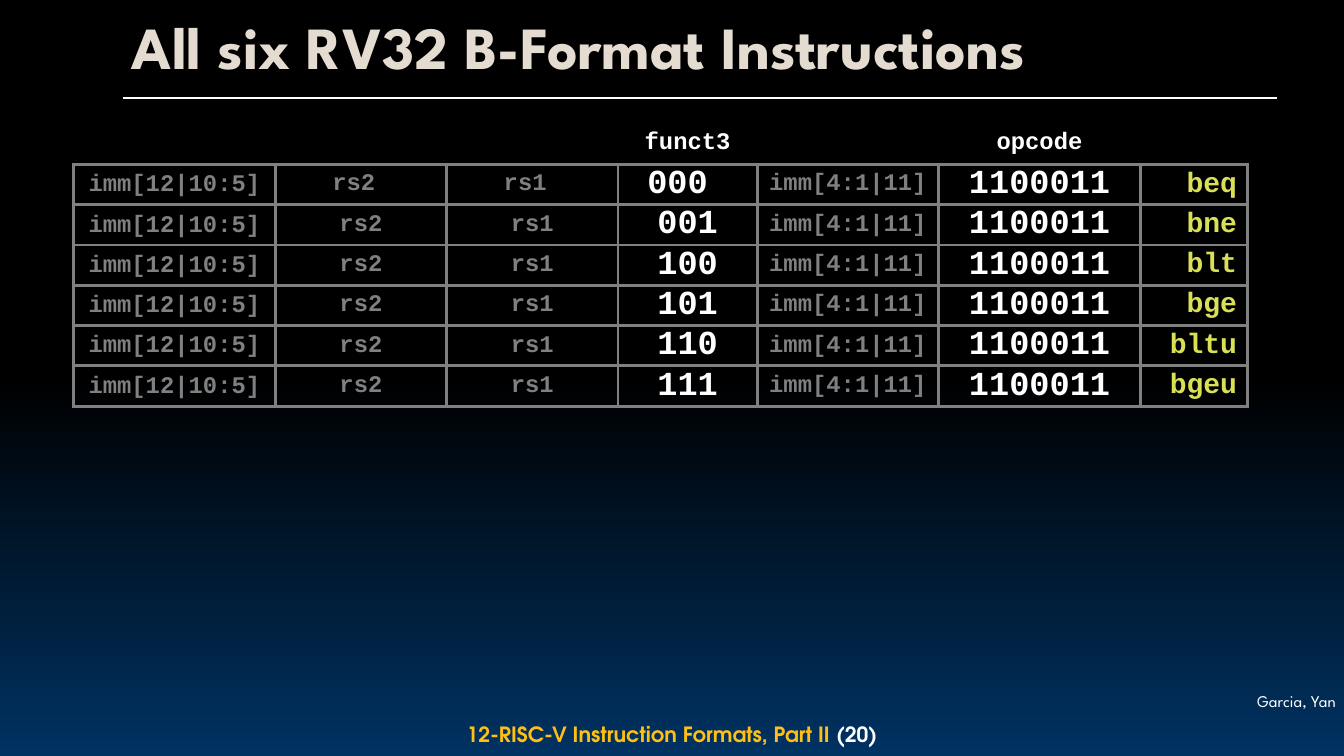
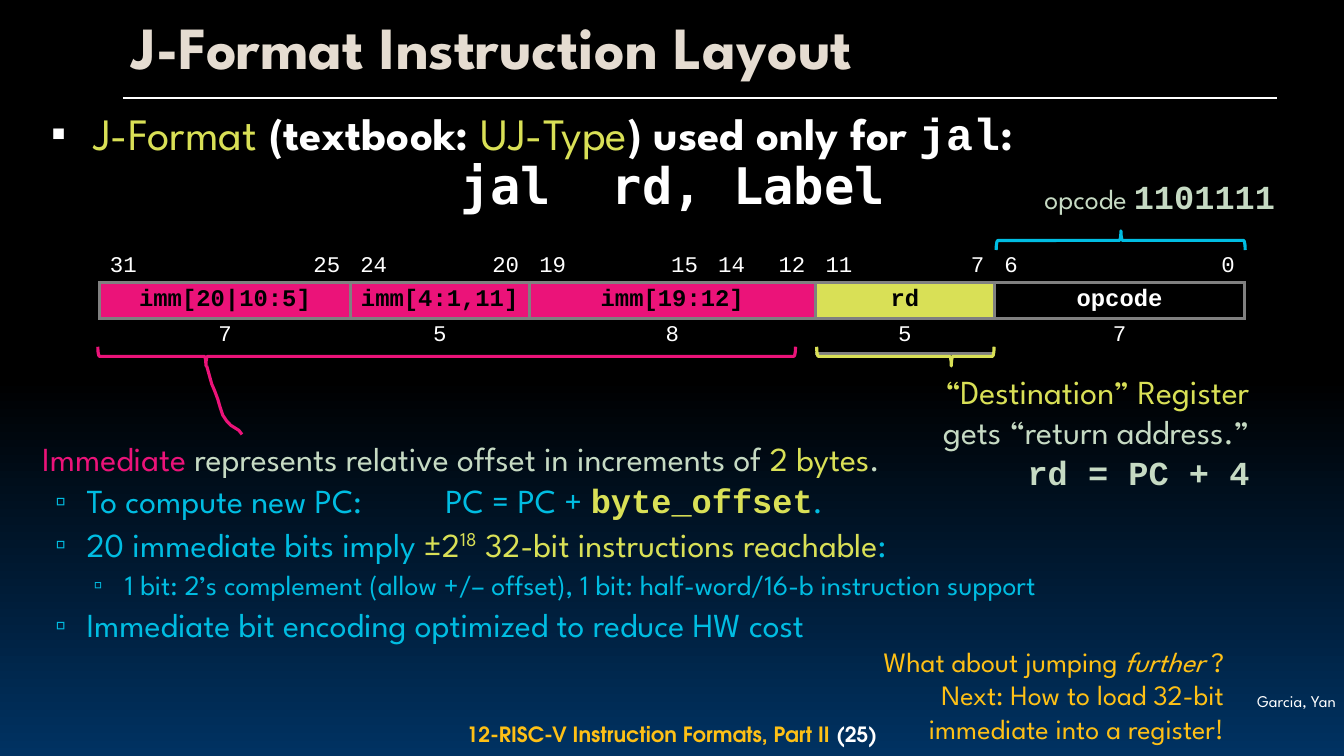
"""Builds two lecture slides on the B and J instruction formats."""
from pptx import Presentation
from pptx.dml.color import RGBColor
from pptx.enum.shapes import MSO_CONNECTOR, MSO_SHAPE
from pptx.enum.text import MSO_ANCHOR as ANCHOR, PP_ALIGN as ALIGN
from pptx.oxml.ns import qn
from pptx.util import Inches, Pt
from lxml.etree import SubElement


class Theme:
    black, navy, white = "000000", "003262", "FFFFFF"
    cream, gold, gray = "E5DCD1", "FEC016", "808080"
    lime, sage, pink, cyan = "D9E056", "C6DAC3", "EB1379", "00BDE2"
    sans, mono = "League Spartan", "Courier New"
    code, footer, bullet = "DejaVu Sans Mono", "TeX Gyre Adventor", "Arial"
    title, display, lead, body, small = 42.7, 36, 32, 24, 20
    field, bits, foot, author = 17, 16, 15, 11.7
    rule, outline = 1.5, 2.25
    no_table_style = "{2D5ABB26-0587-4C30-8999-92F81FD0307C}"


T = Theme
MONO = dict(font=T.mono, bold=True)

BRANCH_COLUMNS = [2, 1.7, 1.7, 1.38, 1.8, 2, 1.06]
BRANCH_HEADER = ["", "", "", "funct3", "", "opcode", ""]
BRANCHES = [("rs2 ", "rs1 ", "000 ", "beq")] + [
    ("rs2", "rs1", funct3, name) for funct3, name in [
        ("001", "bne"), ("100", "blt"), ("101", "bge"), ("110", "bltu"), ("111", "bgeu")]]
BRANCH_STYLES = [
    dict(color=T.gray, size=T.field, spacing=0.9),
    dict(color=T.gray, size=T.field),
    dict(color=T.gray, size=T.field),
    dict(color=T.white, size=T.body),
    dict(color=T.gray, size=T.field),
    dict(color=T.white, size=T.body),
    dict(color=T.lime, size=T.small, align=ALIGN.RIGHT),
]

BIT_WIDTH = 0.355
JUMP_ROWS = [0.36, 0.36, 0.35]
JUMP_FIELDS = [
    ("imm[20|10:5]", 7, T.pink, T.black, [("31", 2), ("", 1), ("", 1), ("", 1), ("25", 2)]),
    ("imm[4:1,11]", 5, T.pink, T.black, [("24", 2), ("", 1), ("20", 2)]),
    ("imm[19:12]", 8, T.pink, T.black,
     [("19", 2), ("", 1), ("15", 2), ("14", 1.5), ("12", 1.5)]),
    ("rd", 5, T.lime, T.black, [("11", 2), ("", 1), ("7", 2)]),
    ("opcode", 7, None, T.white, [("6", 2), ("", 1), ("", 1), ("", 1), ("0", 2)]),
]

BRACES = [
    (9.88, 2.29, 2.47, 90, 0.499, T.cyan),
    (8.1, 3.44, 1.76, 270, 0.759, T.lime),
    (0.97, 3.44, 6.92, 270, 0.155, T.pink),
]
IMMEDIATE_TAIL = [(2.05, 3.63), (2.1, 3.81), (2.13, 3.88), (2.16, 3.96), (2.18, 4.03),
                  (2.21, 4.12), (2.25, 4.18), (2.29, 4.22), (2.37, 4.27), (2.4, 4.31)]

LIME, SAGE, WHITE = dict(color=T.lime), dict(color=T.sage), dict(color=T.white, bold=True)
USAGE = [("J-Format", LIME), (" (textbook: ", WHITE), ("UJ-Type", LIME),
         (") used only for ", WHITE), ("jal", dict(WHITE, font=T.mono)), (":", WHITE)]
OPCODE = [("opcode ", {}), ("1101111", dict(MONO, size=T.body))]
DESTINATION = [("“Destination” Register\n", LIME), ("gets “return address.”\n", {}),
               ("rd = PC + 4", MONO)]
NEXT_TOPIC = [("What about jumping ", {}), ("further ", dict(italic=True)),
              ("?\nNext: How to load 32-bit immediate into a register!", {})]
IMMEDIATE = [
    (0, [("Immediate ", dict(color=T.pink)),
         ("represents relative offset in increments of ", SAGE),
         ("2 bytes", LIME), (".", SAGE)]),
    (1, [("To compute new PC:\tPC = PC + ", {}), ("byte_offset", dict(MONO, color=T.lime)),
         (".", {})]),
    (1, [("20 immediate bits imply ", {}), ("±2", LIME), ("18", dict(LIME, raised=True)),
         (" 32-bit instructions reachable", LIME), (":", {})]),
    (2, [("1 bit: 2’s complement (allow +/– offset), 1 bit: half-word/16-b instruction support",
          dict(size=T.small))]),
    (1, [("Immediate bit encoding optimized to reduce HW cost", {})]),
]
LEVEL_FORMATS = [
    {},
    dict(bullet=("▫", 0.44, -0.31, 90, None), tab=4, spacing=0.9, before=5),
    dict(bullet=("▫", 0.82, -0.31, 90, None), spacing=0.9, before=5),
]


def rgb(color):
    return RGBColor.from_string(color)


def add_bullet(p, char, margin, indent, percent, color):
    pPr = p._p.get_or_add_pPr()
    pPr.set("marL", str(Inches(margin)))
    pPr.set("indent", str(Inches(indent)))
    if color:
        SubElement(SubElement(pPr, qn("a:buClr")), qn("a:srgbClr")).set("val", color)
    SubElement(pPr, qn("a:buSzPct")).set("val", str(percent * 1000))
    SubElement(pPr, qn("a:buFont")).set("typeface", T.bullet)
    SubElement(pPr, qn("a:buChar")).set("char", char)


def add_tab(p, position):
    tabs = SubElement(p._p.get_or_add_pPr(), qn("a:tabLst"))
    SubElement(tabs, qn("a:tab"), pos=str(Inches(position)), algn="l")


def write(p, text, align=ALIGN.LEFT, spacing=None, before=None, bullet=None, tab=None,
          level=0, **base):
    """Fill a paragraph from a string or from (text, format) runs."""
    if bullet:
        add_bullet(p, *bullet)
    if tab:
        add_tab(p, tab)
    p.level, p.alignment = level, align
    if spacing:
        p.line_spacing = spacing
    if before:
        p.space_before = Pt(before)
    for content, own in [(text, {})] if isinstance(text, str) else text:
        look = {"font": T.sans, "color": T.white, "size": T.body, **base, **own}
        for i, line in enumerate(content.split("\n")):
            if i:
                p.add_line_break()
            if not line:
                continue
            r = p.add_run()
            r.text = line
            r.font.name, r.font.size = look["font"], Pt(look["size"])
            r.font.color.rgb = rgb(look["color"])
            r.font.bold, r.font.italic = look.get("bold", False), look.get("italic", False)
            if look.get("raised"):
                r._r.get_or_add_rPr().set("baseline", "30000")


def add_box(s, x, y, w, h, anchor=ANCHOR.TOP, inset=(0.1, 0.05)):
    tf = s.shapes.add_textbox(*map(Inches, (x, y, w, h))).text_frame
    tf.word_wrap, tf.vertical_anchor = True, anchor
    tf.margin_left = tf.margin_right = Inches(inset[0])
    tf.margin_top = tf.margin_bottom = Inches(inset[1])
    return tf


def add_text(s, at, text, anchor=ANCHOR.TOP, inset=(0.1, 0.05), **look):
    write(add_box(s, *at, anchor, inset).paragraphs[0], text, **look)


def add_slide(prs, title, number):
    s = prs.slides.add_slide(prs.slide_layouts[6])
    fill = s.background.fill
    fill.gradient()
    fill.gradient_angle = 270
    for stop, position, color in zip(fill.gradient_stops, (0.5, 1), (T.black, T.navy)):
        stop.position, stop.color.rgb = position, rgb(color)
    add_text(s, (11.89, 6.83, 1.44, 0.26), "Garcia, Yan", inset=(0.08, 0.03),
             align=ALIGN.RIGHT, size=T.author)
    add_text(s, (2.45, 7.12, 8.43, 0.32),
             [("12-RISC-V Instruction Formats, Part II ", dict(color=T.gold)),
              (f"({number})", {})],
             anchor=ANCHOR.MIDDLE, align=ALIGN.CENTER, font=T.footer, size=T.foot, bold=True)
    rule = s.shapes.add_connector(MSO_CONNECTOR.STRAIGHT,
                                  *map(Inches, (1.22, 0.97, 12.67, 0.97)))
    rule.line.color.rgb, rule.line.width = rgb(T.white), Pt(T.rule)
    SubElement(rule._element.spPr, qn("a:effectLst"))
    add_text(s, (1.21, 0.08, 11.49, 0.84), title, anchor=ANCHOR.MIDDLE, spacing=0.9,
             size=T.title, color=T.cream, bold=True)
    return s


def add_grid(s, x, y, widths, heights):
    frame = s.shapes.add_table(len(heights), len(widths),
                               *map(Inches, (x, y, sum(widths), sum(heights))))
    table = frame.table
    table.first_row = table.horz_banding = False
    table._tbl.tblPr.find(qn("a:tableStyleId")).text = T.no_table_style
    for column, width in zip(table.columns, widths):
        column.width = Inches(width)
    for row, height in zip(table.rows, heights):
        row.height = Inches(height)
    return table


def fill_cell(cell, text="", sides="", fill=None, anchor=ANCHOR.TOP, inset=0.05, **look):
    tcPr = cell._tc.get_or_add_tcPr()
    for side in (c for c in "LRTB" if c in sides):
        ln = SubElement(tcPr, qn(f"a:ln{side}"), w=str(Pt(T.outline)))
        SubElement(SubElement(ln, qn("a:solidFill")), qn("a:srgbClr")).set("val", T.gray)
    if fill:
        cell.fill.solid()
        cell.fill.fore_color.rgb = rgb(fill)
    else:
        cell.fill.background()
    cell.vertical_anchor = anchor
    cell.margin_top = cell.margin_bottom = Inches(inset if text else 0)
    if text:
        write(cell.text_frame.paragraphs[0], text, **look)


def add_branch_table(s):
    table = add_grid(s, 0.73, 1.26, BRANCH_COLUMNS, [0.37] + [0.4] * len(BRANCHES))
    base = dict(MONO, align=ALIGN.CENTER, spacing=0.8)
    for c, text in enumerate(BRANCH_HEADER):
        fill_cell(table.cell(0, c), text, "B", size=T.field, **base)
    for r, (rs2, rs1, funct3, name) in enumerate(BRANCHES, 1):
        row = ["imm[12|10:5]", rs2, rs1, funct3, "imm[4:1|11]", "1100011", name]
        for c, (text, style) in enumerate(zip(row, BRANCH_STYLES)):
            fill_cell(table.cell(r, c), text, "LRTB", anchor=ANCHOR.MIDDLE, inset=0.04,
                      **{**base, **style})


def add_jump_table(s):
    widths = [bits * BIT_WIDTH for *_, ticks in JUMP_FIELDS for _, bits in ticks]
    table = add_grid(s, 0.99, 2.44, widths, JUMP_ROWS)
    base = dict(font=T.mono, spacing=0.9)
    first = 0
    for name, bits, fill, color, ticks in JUMP_FIELDS:
        last = first + len(ticks) - 1
        align = ALIGN.LEFT
        for c, (tick, _) in enumerate(ticks, first):
            fill_cell(table.cell(0, c), tick, "B", anchor=ANCHOR.BOTTOM, align=align,
                      size=T.bits, **base)
            if tick:
                align = ALIGN.RIGHT if align == ALIGN.LEFT else ALIGN.LEFT
        below = "TB" if name == "rd" else "T"
        for c in range(first, last + 1):
            start = c == first
            sides = "LRTB" if start else "RTB" if c == last else "TB"
            fill_cell(table.cell(1, c), name if start else "", sides, fill, color=color,
                      size=T.field, bold=True, align=ALIGN.CENTER, **base)
            fill_cell(table.cell(2, c), str(bits) if start else "", below,
                      size=T.bits, align=ALIGN.CENTER, **base)
        for r in (1, 2):
            table.cell(r, first).merge(table.cell(r, last))
        first = last + 1


def outline(sp, color):
    sp.shadow.inherit = False
    sp.fill.background()
    sp.line.color.rgb, sp.line.width = rgb(color), Pt(T.outline)


def add_brace(s, x, y, length, rotation, tip, color, depth=0.19):
    shift = (length - depth) / 2
    sp = s.shapes.add_shape(MSO_SHAPE.LEFT_BRACE,
                            *map(Inches, (x + shift, y - shift, depth, length)))
    sp.rotation = rotation
    sp.adjustments[0], sp.adjustments[1] = 0.083, tip
    outline(sp, color)


def add_tail(s):
    start, *rest = [(Inches(x), Inches(y)) for x, y in IMMEDIATE_TAIL]
    builder = s.shapes.build_freeform(*start)
    builder.add_line_segments(rest, close=False)
    outline(builder.convert_to_shape(), T.pink)


def build_jump_slide(prs):
    s = add_slide(prs, "J-Format Instruction Layout", 25)
    add_text(s, (0.32, 1, 12.76, 0.84), USAGE, size=T.lead,
             bullet=("▪", 0.51, -0.42, 95, T.white))
    add_text(s, (2.93, 1.48, 7.48, 0.71), "jal  rd, Label", align=ALIGN.CENTER,
             font=T.code, size=T.display, bold=True)
    add_tail(s)
    add_text(s, (10.26, 1.71, 2.82, 0.52), OPCODE, anchor=ANCHOR.MIDDLE, spacing=0.9,
             size=T.small, color=T.sage)
    add_jump_table(s)
    for brace in BRACES:
        add_brace(s, *brace)
    add_text(s, (8.99, 3.63, 3.5, 1.31), DESTINATION, align=ALIGN.RIGHT, color=T.sage)
    tf = add_box(s, 0.32, 4.29, 10.43, 2.18)
    for i, (level, runs) in enumerate(IMMEDIATE):
        p = tf.add_paragraph() if i else tf.paragraphs[0]
        write(p, runs, level=level, color=T.cyan, **LEVEL_FORMATS[level])
    add_text(s, (8.57, 6.34, 3.67, 1.11), NEXT_TOPIC, align=ALIGN.RIGHT,
             size=T.small, color=T.gold)


def main():
    prs = Presentation()
    prs.slide_width, prs.slide_height = Inches(13.33), Inches(7.5)
    add_branch_table(add_slide(prs, "All six RV32 B-Format Instructions", 20))
    build_jump_slide(prs)
    prs.save("out.pptx")


if __name__ == "__main__":
    main()
